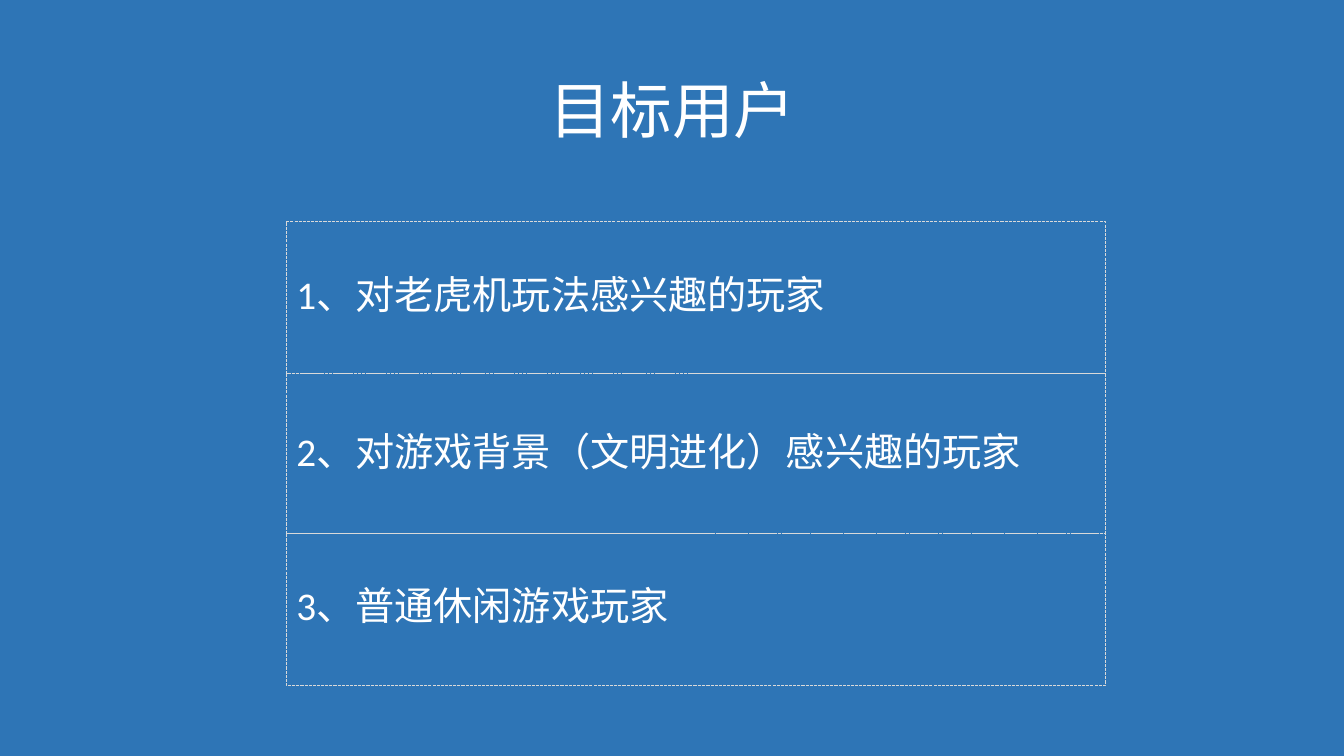
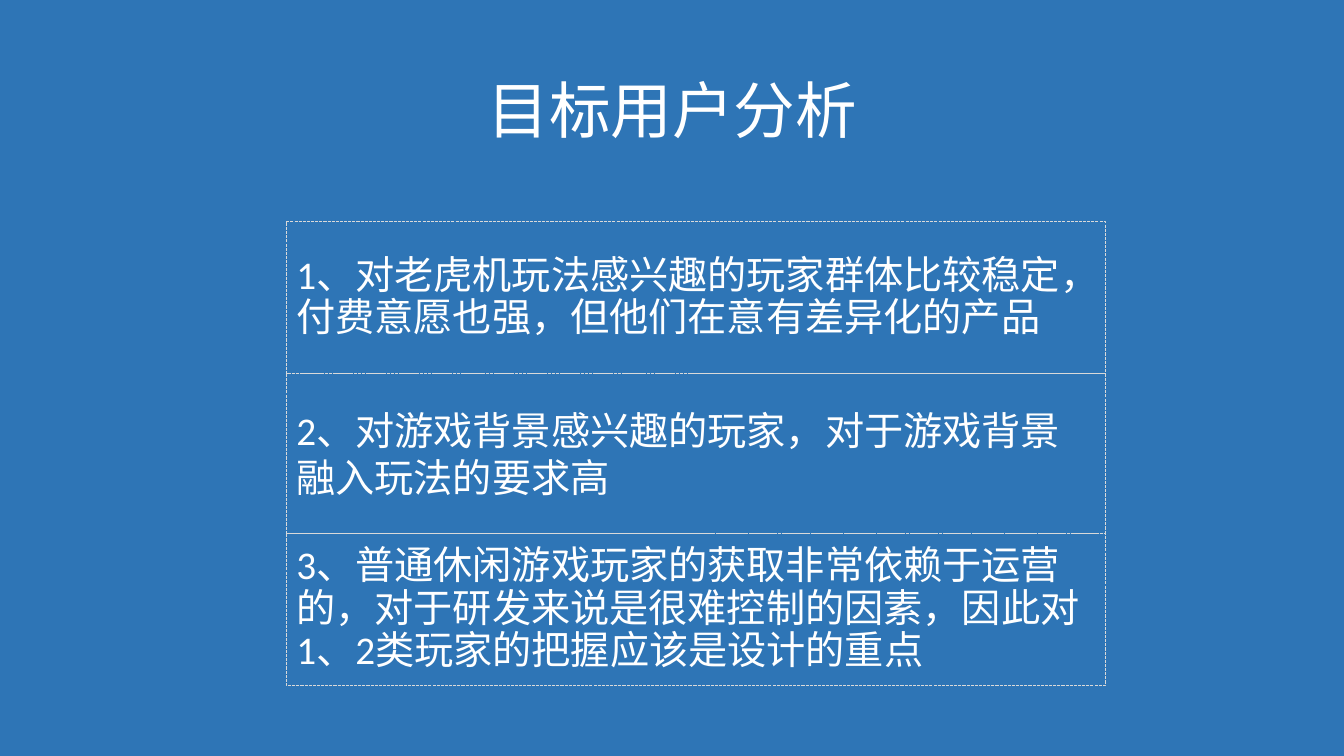
from pptx import Presentation
from pptx.dml.color import RGBColor
from pptx.enum.dml import MSO_LINE
from pptx.enum.shapes import MSO_SHAPE
from pptx.enum.text import MSO_ANCHOR, PP_ALIGN
from pptx.util import Inches, Pt

RECTANGLE = MSO_SHAPE.RECTANGLE
DASH = MSO_LINE.SQUARE_DOT
MIDDLE = MSO_ANCHOR.MIDDLE
CENTER, LEFT = PP_ALIGN.CENTER, PP_ALIGN.LEFT

ROW_LEFT, ROW_WIDTH, FIRST_ROW_TOP = 2.84, 8.12, 2.2
ROW_HEIGHTS = (1.51, 1.58, 1.51)

# Each slide: title, then (text, line spacing) for each row
SLIDES = [
    ("目标用户", [
        ("1、对老虎机玩法感兴趣的玩家", 0.8),
        ("2、对游戏背景（文明进化）感兴趣的玩家", 0.9),
        ("3、普通休闲游戏玩家", 0.8),
    ]),
    ("目标用户分析", [
        ("1、对老虎机玩法感兴趣的玩家群体比较稳定，付费意愿也强，但他们在意有差异化的产品", 0.9),
        ("2、对游戏背景感兴趣的玩家，对于游戏背景融入玩法的要求高", 1.0),
        ("3、普通休闲游戏玩家的获取非常依赖于运营的，对于研发来说是很难控制的因素，"
         "因此对1、2类玩家的把握应该是设计的重点", 0.9),
    ]),
]


def color(hex_value):
    return RGBColor.from_string(hex_value)


class Deck:
    """Holds the shared style and the slide being built."""

    FONT = "Calibri"
    BACKGROUND = color("2E75B6")
    TEXT = color("FFFFFF")
    BORDER = color("D9D9D9")
    TITLE_SIZE, ROW_SIZE = Pt(44), Pt(28)

    def __init__(self):
        self.presentation = Presentation()
        self.presentation.slide_width = Inches(13.33)
        self.presentation.slide_height = Inches(7.5)
        self.slide = None

    def add_slide(self):
        blank = self.presentation.slide_layouts[6]
        self.slide = self.presentation.slides.add_slide(blank)
        fill = self.slide.background.fill
        fill.solid()
        fill.fore_color.rgb = self.BACKGROUND

    def set_text(self, shape, text, size, align, line_spacing, space_before=0):
        frame = shape.text_frame
        frame.word_wrap = True
        frame.vertical_anchor = MIDDLE
        paragraph = frame.paragraphs[0]
        paragraph.alignment = align
        paragraph.line_spacing = line_spacing
        paragraph.space_before = Pt(space_before)
        run = paragraph.add_run()
        run.text = text
        run.font.name = self.FONT
        run.font.size = size
        run.font.color.rgb = self.TEXT

    def add_title(self, text):
        title = self.slide.shapes.add_textbox(
            Inches(0.92), Inches(0.4), Inches(11.5), Inches(1.45))
        self.set_text(title, text, self.TITLE_SIZE, CENTER, 0.9)

    def add_row(self, text, top, height, line_spacing):
        row = self.slide.shapes.add_shape(
            RECTANGLE, Inches(ROW_LEFT), Inches(top), Inches(ROW_WIDTH), Inches(height))
        row.shadow.inherit = False
        row.fill.background()
        row.line.color.rgb = self.BORDER
        row.line.width = Pt(0.75)
        row.line.dash_style = DASH
        self.set_text(row, text, self.ROW_SIZE, LEFT, line_spacing, space_before=10)

    def add_rows(self, rows):
        """Stack the rows edge to edge."""
        top = FIRST_ROW_TOP
        for (text, line_spacing), height in zip(rows, ROW_HEIGHTS):
            self.add_row(text, top, height, line_spacing)
            top += height


def main():
    deck = Deck()
    for title, rows in SLIDES:
        deck.add_slide()
        deck.add_title(title)
        deck.add_rows(rows)
    deck.presentation.save("out.pptx")


if __name__ == "__main__":
    main()
